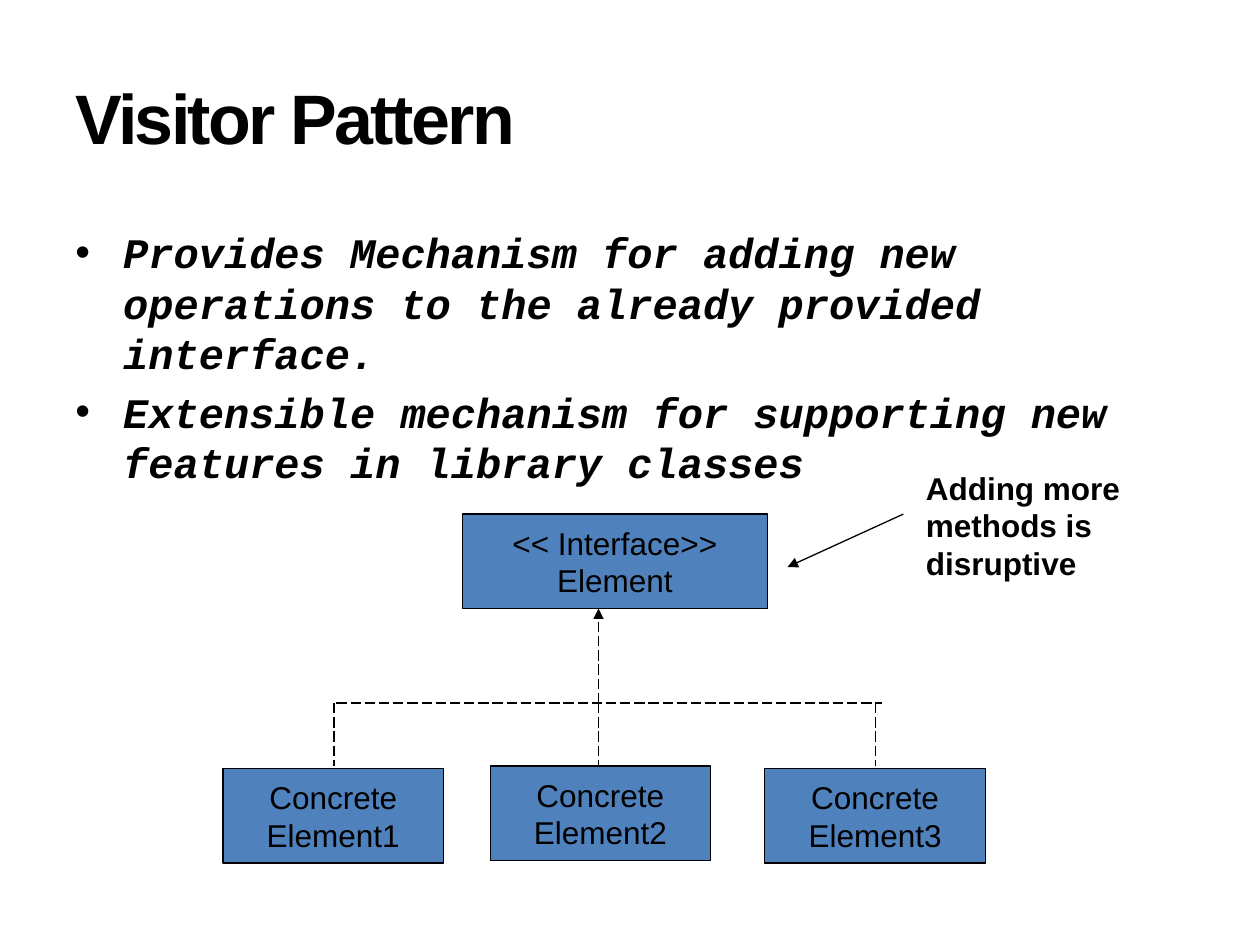
from dataclasses import dataclass

from lxml.etree import SubElement
from pptx import Presentation
from pptx.dml.color import RGBColor
from pptx.enum.dml import MSO_LINE
from pptx.enum.shapes import MSO_CONNECTOR, MSO_SHAPE
from pptx.enum.text import MSO_ANCHOR, PP_ALIGN
from pptx.oxml.ns import qn
from pptx.util import Inches, Pt


@dataclass(frozen=True)
class Theme:
    ink: RGBColor = RGBColor(0x00, 0x00, 0x00)
    box: RGBColor = RGBColor(0x4F, 0x81, 0xBD)
    sans: str = "Arial"
    mono: str = "Courier New"
    title: int = 40
    body: int = 24
    label: int = 18
    rule: float = 0.75


THEME = Theme()
TITLE_FONT = dict(name=THEME.sans, size=Pt(THEME.title), bold=True)
BODY_FONT = dict(name=THEME.mono, size=Pt(THEME.body), bold=True, italic=True)
LABEL_FONT = dict(name=THEME.sans, size=Pt(THEME.label))
NOTE_FONT = dict(LABEL_FONT, bold=True)

CLASS_H = 0.75
CHILD_W = 1.75
INTERFACE_W = 2.42


def add_runs(tf, lines, font, **paragraph_format):
    """Write one paragraph per line and return the paragraphs."""
    for i, line in enumerate(lines):
        p = tf.paragraphs[0] if i == 0 else tf.add_paragraph()
        for key, value in paragraph_format.items():
            setattr(p, key, value)
        r = p.add_run()
        r.text = line
        for key, value in font.items():
            setattr(r.font, key, value)
        r.font.color.rgb = THEME.ink
    return tf.paragraphs


def add_text(s, box, lines, font, anchor=MSO_ANCHOR.TOP):
    tf = s.shapes.add_textbox(*map(Inches, box)).text_frame
    tf.word_wrap = True
    tf.vertical_anchor = anchor
    return add_runs(tf, lines, font)


def add_title(s, box, text):
    p = add_text(s, box, [text], TITLE_FONT, MSO_ANCHOR.MIDDLE)[0]
    p.runs[0].font._element.set("spc", "-150")


def add_bullets(s, box, lines):
    for i, p in enumerate(add_text(s, box, lines, BODY_FONT)):
        pPr = p._p.get_or_add_pPr()
        pPr.set("marL", str(Inches(0.38)))
        pPr.set("indent", str(Inches(-0.38)))
        SubElement(pPr, qn("a:buFont")).set("typeface", THEME.sans)
        SubElement(pPr, qn("a:buChar")).set("char", "•")
        if i:
            p.space_before = Pt(0.2 * THEME.body)


def add_class(s, box, lines):
    sp = s.shapes.add_shape(MSO_SHAPE.RECTANGLE, *map(Inches, box))
    sp.shadow.inherit = False
    sp.fill.solid()
    sp.fill.fore_color.rgb = THEME.box
    sp.line.color.rgb = THEME.ink
    sp.line.width = Pt(THEME.rule)
    tf = sp.text_frame
    tf.word_wrap = False
    tf.vertical_anchor = MSO_ANCHOR.MIDDLE
    add_runs(tf, lines, LABEL_FONT, alignment=PP_ALIGN.CENTER)


def add_line(s, start, end, dashed=True, arrow=False):
    cxn = s.shapes.add_connector(MSO_CONNECTOR.STRAIGHT, *map(Inches, start + end))
    cxn.line.color.rgb = THEME.ink
    cxn.line.width = Pt(THEME.rule)
    if dashed:
        cxn.line.dash_style = MSO_LINE.LONG_DASH
    if arrow:
        SubElement(cxn.line._get_or_add_ln(), qn("a:tailEnd")).set("type", "triangle")
    SubElement(cxn._element.spPr, qn("a:effectLst"))


def add_hierarchy(s, box):
    """Draw the interface above its three concrete classes, joined by a bus."""
    left, top, width, height = box
    bus_y = top + 1.5
    stem_x = left + 2.98
    child_y = top + height - CLASS_H
    add_class(s, (left + 1.9, top, INTERFACE_W, CLASS_H), ["<< Interface>>", "Element"])
    add_line(s, (stem_x, bus_y), (stem_x, top + CLASS_H), arrow=True)
    add_line(s, (left + 0.9, bus_y), (left + 5.23, bus_y))
    children = [
        (left, child_y, left + 0.88),
        (left + 2.12, child_y - 0.02, stem_x),
        (left + width - CHILD_W, child_y, left + 5.18),
    ]
    for n, (x, y, drop_x) in enumerate(children, 1):
        add_class(s, (x, y, CHILD_W, CLASS_H), ["Concrete", f"Element{n}"])
        add_line(s, (drop_x, bus_y), (drop_x, bus_y + 0.5))


def add_callout(s, box, text):
    left, top, _, _ = box
    add_line(s, (left - 0.08, top + 0.41), (left - 1, top + 0.83),
             dashed=False, arrow=True)
    add_text(s, box, [text], NOTE_FONT)


def main():
    prs = Presentation()
    prs.slide_width, prs.slide_height = Inches(10), Inches(7.5)
    s = prs.slides.add_slide(prs.slide_layouts[6])
    add_title(s, (0.5, 0.3, 9, 1.25), "Visitor Pattern")
    add_bullets(s, (0.5, 1.75, 9, 2.33), [
        "Provides Mechanism for adding new operations to the already provided interface.",
        "Extensible mechanism for supporting new features in library classes",
    ])
    add_hierarchy(s, (1.77, 4.08, 6.05, 2.77))
    add_callout(s, (7.25, 3.67, 2.08, 1), "Adding more methods is disruptive")
    prs.save("out.pptx")


if __name__ == "__main__":
    main()
